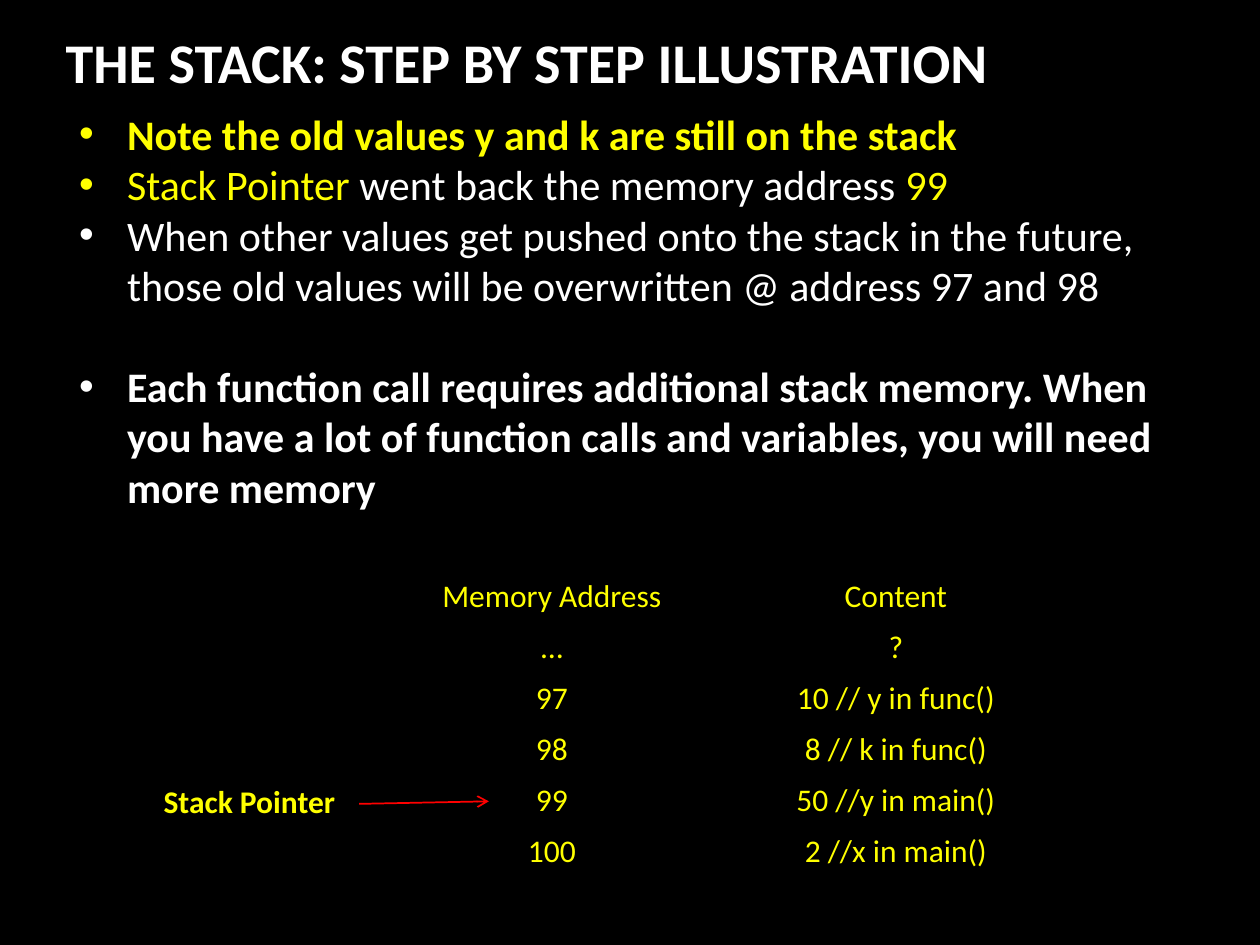
from pptx import Presentation
from pptx.dml.color import RGBColor
from pptx.enum.shapes import MSO_CONNECTOR
from pptx.enum.text import MSO_ANCHOR, PP_ALIGN
from pptx.oxml.ns import qn
from pptx.util import Inches, Pt
from lxml.etree import SubElement

COLORS = {"black": "000000", "white": "FFFFFF", "yellow": "FFFF00", "red": "FF0000"}
FONT = "Calibri"
NO_STYLE_NO_GRID = "{2D5ABB26-0587-4C30-8999-92F81FD0307C}"

TITLE = "THE STACK: STEP BY STEP ILLUSTRATION"
# Each bullet: space before in points, then runs of (text, color, bold)
BULLETS = [
    (0, [("Note the old values y and k are still on the stack", "yellow", True)]),
    (0, [("Stack Pointer ", "yellow", False),
         ("went back the memory address ", "white", False),
         ("99", "yellow", False)]),
    (0, [("When other values get pushed onto the stack in the future, those old "
          "values will be overwritten @ address 97 and 98", "white", False)]),
    (29, [("Each function call requires additional stack memory. When you have a lot "
           "of function calls and variables, you will need more memory", "white", True)]),
]
MEMORY = [
    ("Memory Address", "Content"),
    ("…", "?"),
    ("97", "10 // y in func()"),
    ("98", "8 // k in func()"),
    ("99", "50 //y in main()"),
    ("100", "2 //x in main()"),
]
COL_WIDTHS = (3.18, 2.28)
ROW_HEIGHT = 0.405


def rgb(name):
    return RGBColor.from_string(COLORS[name])


def add_run(p, text, size, color, bold=False):
    r = p.add_run()
    r.text = text
    r.font.name = FONT
    r.font.size = Pt(size)
    r.font.bold = bold
    r.font.color.rgb = rgb(color)


def add_textbox(slide, left, top, width, height, wrap):
    tf = slide.shapes.add_textbox(*map(Inches, (left, top, width, height))).text_frame
    tf.word_wrap = wrap
    return tf


def add_title(slide):
    sp = slide.shapes.title
    sp.left, sp.top, sp.width, sp.height = map(Inches, (0.42, 0.17, 7.71, 0.64))
    tf = sp.text_frame
    tf.word_wrap = False
    tf.vertical_anchor = MSO_ANCHOR.TOP
    p = tf.paragraphs[0]
    p.alignment = PP_ALIGN.LEFT
    add_run(p, TITLE, 32, "white", True)


def add_bullets(slide):
    tf = add_textbox(slide, 0.53, 0.81, 9.08, 3.33, True)
    for i, (space, runs) in enumerate(BULLETS):
        p = tf.paragraphs[0] if i == 0 else tf.add_paragraph()
        p.space_before = Pt(space)
        pPr = p._p.get_or_add_pPr()
        pPr.set("marL", str(Inches(0.38)))
        pPr.set("indent", str(-Inches(0.38)))
        SubElement(pPr, qn("a:buFont"), typeface="Arial")
        SubElement(pPr, qn("a:buChar"), char="•")
        for text, color, bold in runs:
            add_run(p, text, 24, color, bold)


def add_memory_table(slide):
    frame = slide.shapes.add_table(
        len(MEMORY), len(COL_WIDTHS), Inches(2.79), Inches(4.53),
        Inches(sum(COL_WIDTHS)), Inches(ROW_HEIGHT * len(MEMORY)))
    table = frame.table
    table.first_row = table.horz_banding = False
    table._tbl.tblPr.find(qn("a:tableStyleId")).text = NO_STYLE_NO_GRID
    for col, width in zip(table.columns, COL_WIDTHS):
        col.width = Inches(width)
    for row, values in zip(table.rows, MEMORY):
        row.height = Inches(ROW_HEIGHT)
        for cell, text in zip(row.cells, values):
            cell.fill.background()
            p = cell.text_frame.paragraphs[0]
            p.alignment = PP_ALIGN.CENTER
            add_run(p, text, 18, "yellow")


def add_stack_pointer(slide):
    arrow = slide.shapes.add_connector(
        MSO_CONNECTOR.STRAIGHT, *map(Inches, (2.85, 6.38, 3.88, 6.36)))
    arrow.line.color.rgb = rgb("red")
    arrow.line.width = Pt(1)
    SubElement(arrow.line._get_or_add_ln(), qn("a:tailEnd"), type="arrow")
    SubElement(arrow._element.spPr, qn("a:effectLst"))
    tf = add_textbox(slide, 1.2, 6.16, 1.59, 0.4, False)
    add_run(tf.paragraphs[0], "Stack Pointer", 18, "yellow", True)


def main():
    prs = Presentation()
    prs.slide_width, prs.slide_height = Inches(10), Inches(7.5)
    slide = prs.slides.add_slide(prs.slide_layouts[5])
    slide.background.fill.solid()
    slide.background.fill.fore_color.rgb = rgb("black")
    add_title(slide)
    add_bullets(slide)
    add_memory_table(slide)
    add_stack_pointer(slide)
    prs.save("out.pptx")


if __name__ == "__main__":
    main()
